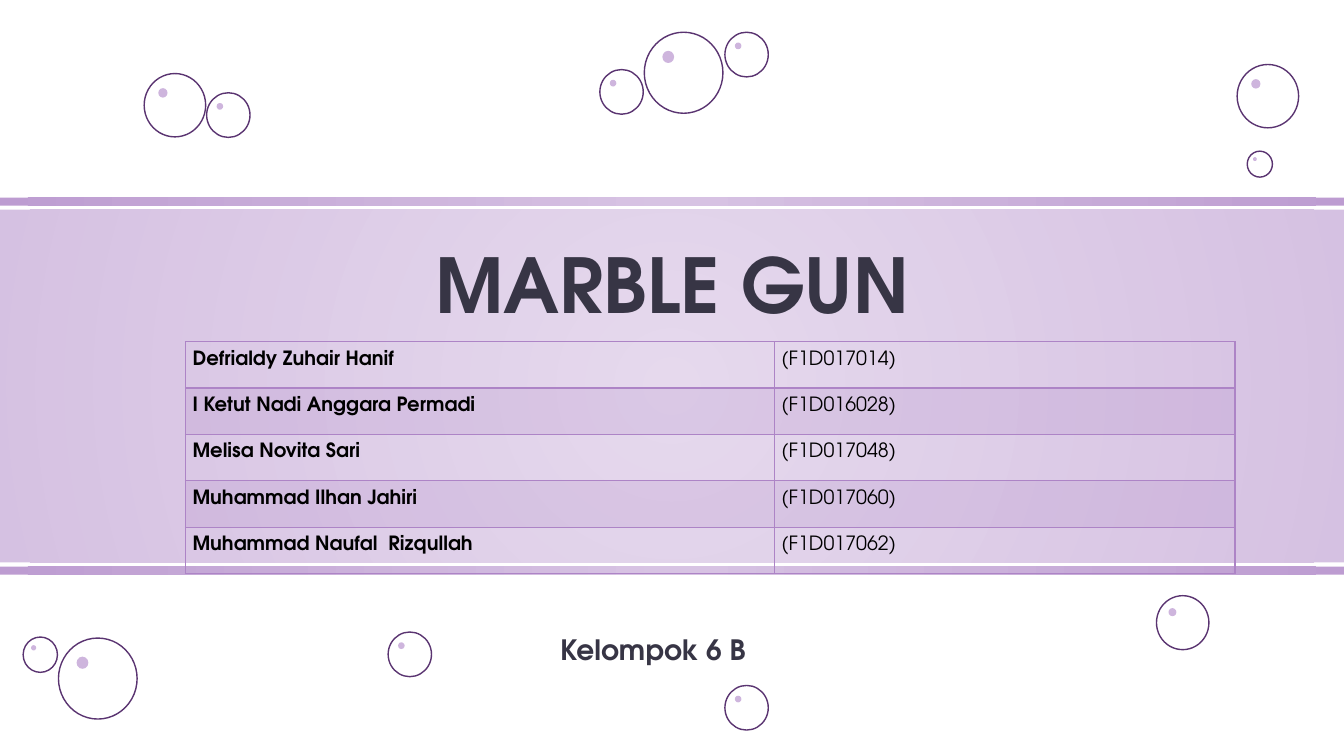
from dataclasses import dataclass

from pptx import Presentation
from pptx.dml.color import RGBColor as RGB
from pptx.enum.shapes import MSO_SHAPE as SHAPE
from pptx.enum.text import MSO_ANCHOR as ANCHOR, PP_ALIGN as ALIGN
from pptx.oxml import parse_xml
from pptx.oxml.ns import nsdecls
from pptx.util import Inches, Pt


@dataclass(frozen=True)
class Theme:
    font: str = "TeX Gyre Adventor"
    lilac: str = "CEB5DD"
    purple: str = "AD84C6"
    outline: str = "5A3471"
    heading: str = "373545"
    body: str = "000000"
    title_size: int = 54
    group_size: int = 20
    table_size: int = 14


T = Theme()

# Top and height of each band, then its opacity in percent
BANDS = [(2.08, 3.5, 50), (1.96, 0.08, 80), (5.62, 0.08, 80)]

# Left, top and width of each bubble
BUBBLES = [
    (0.58, 6.33, 0.78), (0.23, 6.32, 0.34), (11.47, 5.91, 0.52),
    (7.19, 6.8, 0.43), (3.85, 6.27, 0.43), (6.39, 0.32, 0.78),
    (5.95, 0.69, 0.43), (7.19, 0.32, 0.43), (12.27, 0.64, 0.61),
    (12.37, 1.5, 0.25), (1.43, 0.73, 0.61), (2.05, 0.92, 0.43),
]
BUBBLE_RATIO = 1.03
DOT_OFFSET, DOT_SCALE = 0.23, 0.15

MEMBERS = [
    ("Defrialdy Zuhair Hanif", "(F1D017014)"),
    ("I Ketut Nadi Anggara Permadi", "(F1D016028)"),
    ("Melisa Novita Sari", "(F1D017048)"),
    ("Muhammad Ilhan Jahiri", "(F1D017060)"),
    ("Muhammad Naufal  Rizqullah", "(F1D017062)"),
]
COLUMNS = (5.84, 4.57)
ROW_HEIGHT = 0.46


def solid_xml(color, alpha=100):
    return (f'<a:solidFill {nsdecls("a")}><a:srgbClr val="{color}">'
            f'<a:alpha val="{alpha * 1000}"/></a:srgbClr></a:solidFill>')


def style_paragraph(p, size, color, align, spacing, bold=True):
    p.alignment, p.line_spacing = align, spacing
    for r in p.runs:
        r.font.name, r.font.size, r.font.bold = T.font, Pt(size), bold
        r.font.color.rgb = RGB.from_string(color)


def add_shape(s, kind, left, top, width, height):
    sp = s.shapes.add_shape(kind, Inches(left), Inches(top),
                            Inches(width), Inches(height))
    sp.shadow.inherit = False
    sp.fill.background()
    sp.line.fill.background()
    return sp


def add_band(s, top, height, alpha):
    sp = add_shape(s, SHAPE.RECTANGLE, 0, top, 13.33, height)
    stops = "".join(
        f'<a:gs pos="{pos}"><a:srgbClr val="{color}">'
        f'<a:alpha val="{alpha * 1000}"/></a:srgbClr></a:gs>'
        for pos, color in ((0, T.lilac), (100000, T.purple)))
    # A radial gradient takes the place of the empty fill
    sp_pr = sp._element.spPr
    sp_pr.replace(sp_pr.find("{*}noFill"), parse_xml(
        f'<a:gradFill {nsdecls("a")} rotWithShape="1"><a:gsLst>{stops}</a:gsLst>'
        '<a:path path="circle"><a:fillToRect l="50000" t="50000" r="50000" b="50000"/>'
        '</a:path></a:gradFill>'))


def add_bubble(s, left, top, width):
    height = width * BUBBLE_RATIO
    ring = add_shape(s, SHAPE.OVAL, left, top, width, height)
    ring.line.color.rgb = RGB.from_string(T.outline)
    ring.line.width = Pt(1)
    dot = add_shape(s, SHAPE.OVAL, left + width * DOT_OFFSET, top + height * DOT_OFFSET,
                    width * DOT_SCALE, height * DOT_SCALE)
    dot.fill.solid()
    dot.fill.fore_color.rgb = RGB.from_string(T.lilac)


def add_heading(s, text, left, top, width, height, size):
    tf = s.shapes.add_textbox(Inches(left), Inches(top),
                              Inches(width), Inches(height)).text_frame
    tf.word_wrap = True
    tf.vertical_anchor = ANCHOR.BOTTOM
    tf.margin_bottom = Inches(0.89)
    tf.text = text
    style_paragraph(tf.paragraphs[0], size, T.heading, ALIGN.CENTER, 0.9)


def style_cell(cell, row, col):
    cell.margin_left = cell.margin_right = Inches(0.07)
    cell.margin_top = cell.margin_bottom = 0
    style_paragraph(cell.text_frame.paragraphs[0], T.table_size, T.body,
                    ALIGN.JUSTIFY, 1.5, bold=col == 0)
    cell.fill.background()
    tc_pr = cell._tc.get_or_add_tcPr()
    if row % 2:
        tc_pr.replace(tc_pr.find("{*}noFill"), parse_xml(solid_xml(T.purple, 20)))
    # The rule below the first row is twice as thick
    widths = {"lnL": 1, "lnR": 1, "lnT": 2 if row == 1 else 1, "lnB": 2 if row == 0 else 1}
    for i, (side, width) in enumerate(widths.items()):
        tc_pr.insert(i, parse_xml(f'<a:{side} {nsdecls("a")} w="{Pt(width)}">'
                                  f'{solid_xml(T.purple)}</a:{side}>'))


def add_member_table(s, left, top):
    table = s.shapes.add_table(len(MEMBERS), len(COLUMNS), Inches(left), Inches(top),
                               Inches(sum(COLUMNS)),
                               Inches(ROW_HEIGHT * len(MEMBERS))).table
    table.first_row = table.horz_banding = False
    for column, width in zip(table.columns, COLUMNS):
        column.width = Inches(width)
    for row, member in enumerate(MEMBERS):
        for col, text in enumerate(member):
            cell = table.cell(row, col)
            cell.text_frame.text = text
            style_cell(cell, row, col)


def main():
    prs = Presentation()
    prs.slide_width, prs.slide_height = Inches(13.33), Inches(7.5)
    s = prs.slides.add_slide(prs.slide_layouts[6])

    # Backdrop
    for band in BANDS:
        add_band(s, *band)
    for bubble in BUBBLES:
        add_bubble(s, *bubble)

    # Title, members and group name
    add_heading(s, "MARBLE GUN", 1.42, 2.27, 10.5, 1.89, T.title_size)
    add_member_table(s, 1.84, 3.39)
    add_heading(s, "Kelompok 6 B", 1.28, 6.15, 10.4, 1.35, T.group_size)

    prs.save("out.pptx")


if __name__ == "__main__":
    main()
